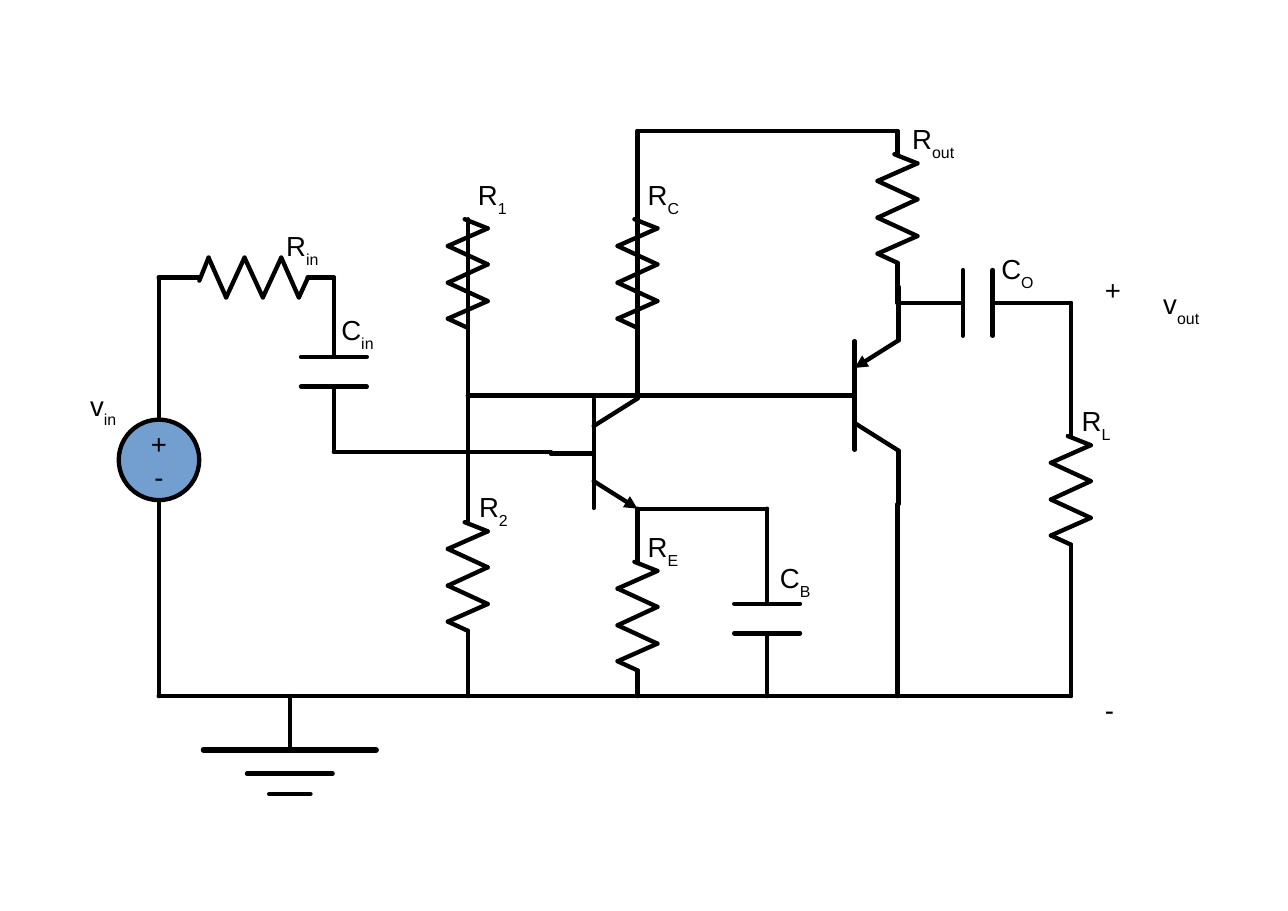
"""Draw a two-stage transistor amplifier circuit on one slide."""
from itertools import pairwise

from lxml import etree
from pptx import Presentation
from pptx import util as u
from pptx.dml import color
from pptx.enum import shapes, text
from pptx.oxml import ns

BLACK = color.RGBColor(0x00, 0x00, 0x00)
BLUE = color.RGBColor(0x72, 0x9F, 0xCF)
PEN = 2.83
FONT = {"name": "Arial", "size": u.Pt(18)}
FRAME = {
    "margin_left": u.Pt(7.2), "margin_right": u.Pt(7.2),
    "margin_top": u.Pt(3.6), "margin_bottom": u.Pt(3.6),
}
ZIGZAG = [(-2, 0), (13, 6), (-13, 17.5), (13, 29.5),
          (-13, 41.5), (13, 53.5), (-13, 65), (0, 71)]

SOURCE, INPUT, BIAS, STAGE, BYPASS, OUTPUT, LOAD = (
    103.7, 218.2, 305.7, 416.6, 501.3, 586.5, 699.8)
SUPPLY, ENTRY, EXIT, LINK, BASE, RAIL = 85.7, 181.4, 198, 258.5, 295.3, 455


def style(item, values):
    """Set every named value on the item."""
    for name, value in values.items():
        setattr(item, name, value)


def wire(part, points, arrow=False, width=PEN):
    """Join the points with straight lines, optionally ending in an arrow."""
    for start, end in pairwise(points):
        ends = [u.Pt(n) for n in (*start, *end)]
        line = part.add_connector(shapes.MSO_CONNECTOR.STRAIGHT, *ends)
        style(line.line, {"width": u.Pt(width)})
        line.line.color.rgb = BLACK
        props = line._element.spPr
        stroke = props.find(ns.qn("a:ln"))
        stroke.set("cap", "rnd")
        if arrow:
            etree.SubElement(stroke, ns.qn("a:tailEnd"), type="triangle")
        etree.SubElement(props, ns.qn("a:effectLst"))


def write(para, words, below=""):
    """Add a run of text and an optional subscript."""
    for word, drop in ((words, False), (below, True)):
        if word:
            run = para.add_run()
            run.text = word
            style(run.font, FONT)
            run.font.color.rgb = BLACK
            if drop:
                run._r.get_or_add_rPr().set("baseline", "-33000")


def label(page, left, top, words, below=""):
    """Place a label whose box starts at left, top."""
    box = page.add_textbox(*[u.Pt(n) for n in (left, top, 75, 31.7)])
    style(box.text_frame, FRAME | {"word_wrap": True})
    write(box.text_frame.paragraphs[0], words, below)


def source(page, left, top, size):
    """Draw the voltage source in a square box."""
    disc = page.add_shape(shapes.MSO_SHAPE.OVAL,
                          *[u.Pt(n) for n in (left, top, size, size)])
    disc.shadow.inherit = False
    disc.fill.solid()
    disc.fill.fore_color.rgb = BLUE
    disc.line.color.rgb = BLACK
    disc.line.width = u.Pt(PEN)
    frame = disc.text_frame
    style(frame, FRAME | {"word_wrap": False,
                          "vertical_anchor": text.MSO_ANCHOR.MIDDLE})
    for para, sign in ((frame.paragraphs[0], "+"), (frame.add_paragraph(), "-")):
        para.alignment = text.PP_ALIGN.CENTER
        write(para, sign)


def resist(page, x, y, flat=False):
    """Draw a resistor running down, or right when flat, from x, y."""
    wire(page.add_group_shape().shapes,
         [(x + along, y - side) if flat else (x + side, y + along)
          for side, along in ZIGZAG])


def store(page, x, y, flat=False):
    """Draw a capacitor centred on x, y, with leads down or across."""
    part = page.add_group_shape().shapes
    for sign in (-1, 1):
        near, far = sign * 9.7, sign * 35.6
        for ends in ([(-21.5, near), (21.5, near)], [(0, near), (0, far)]):
            wire(part, [(x + b, y + a) if flat else (x + a, y + b)
                        for a, b in ends])


def switch(page, x, y, inward=False):
    """Draw a transistor with its bar centred on x, y."""
    part = page.add_group_shape().shapes
    wire(part, [(x, y - 35.5), (x, y + 35.5)])
    wire(part, [(x - 28, y), (x, y)])
    for sign in (-1, 1):
        inner, tip = (x, y + sign * 18), (x + 28.6, y + sign * 36)
        wire(part, [tip, inner] if inward else [inner, tip],
             arrow=sign == (-1 if inward else 1))
        wire(part, [tip, (tip[0], y + sign * 71)])


def ground(page, x, y):
    """Draw the ground symbol hanging from x, y."""
    part = page.add_group_shape().shapes
    wire(part, [(x, y), (x, y + 35)])
    for half, drop, width in ((56.5, 35.2, 3.4), (28, 50.7, PEN), (13.5, 64, PEN)):
        wire(part, [(x - half, y + drop), (x + half, y + drop)], width=width)


def wires(page):
    """Connect all the parts."""
    for points in (
        [(SOURCE, 274.3), (SOURCE, ENTRY), (130.3, ENTRY)],
        [(201, ENTRY), (INPUT, ENTRY), (INPUT, 207.4)],
        [(INPUT, 278.6), (INPUT, BASE), (360, BASE)],
        [(BIAS, 143.3), (BIAS, 341.3)],
        [(BIAS, LINK), (530.7, LINK)],
        [(STAGE, LINK), (STAGE, SUPPLY), (OUTPUT, SUPPLY), (OUTPUT, 100.8)],
        [(STAGE, 332.5), (BYPASS, 332.5), (BYPASS, 368.7)],
        [(OUTPUT, 171.8), (OUTPUT, EXIT), (603.4, EXIT)],
        [(674.6, EXIT), (LOAD, EXIT), (LOAD, 285)],
        [(SOURCE, 326.9), (SOURCE, RAIL), (LOAD, RAIL), (LOAD, 356)],
        [(BIAS, 412.3), (BIAS, RAIL)],
        [(STAGE, 438.2), (STAGE, RAIL)],
        [(BYPASS, 439.9), (BYPASS, RAIL)],
        [(OUTPUT, 329.5), (OUTPUT, RAIL)],
    ):
        wire(page, points)


def main():
    """Build and save the slide."""
    deck = Presentation()
    style(deck, {"slide_width": u.Pt(841.68), "slide_height": u.Pt(595.44)})
    page = deck.slides.add_slide(deck.slide_layouts[6]).shapes
    source(page, 77.6, 274.3, 52.6)
    resist(page, 130.3, ENTRY, flat=True)
    for x, y in ((BIAS, 143.3), (STAGE, 143.3), (BIAS, 341.3),
                 (STAGE, 367.2), (OUTPUT, 100.8), (LOAD, 285)):
        resist(page, x, y)
    store(page, INPUT, 243)
    store(page, BYPASS, 404.3)
    store(page, 639, EXIT, flat=True)
    switch(page, 388, 296.5)
    switch(page, 558.5, 258.5, inward=True)
    wires(page)
    ground(page, 189.4, RAIL)
    for left, top, words, below in (
        (180, 146.2, "R", "in"), (305.3, 113, "R", "1"),
        (416.2, 113, "R", "C"), (589, 76.3, "R", "out"),
        (647.3, 161.3, "C", "O"), (699.8, 260.6, "R", "L"),
        (502.6, 362.9, "C", "B"), (416.2, 342.7, "R", "E"),
        (306, 316.8, "R", "2"), (216, 200.9, "C", "in"),
        (51.8, 250.6, "v", "in"), (753.1, 184.3, "v", "out"),
        (715, 175, "+", ""), (715, 449.3, "-", ""),
    ):
        label(page, left, top, words, below)
    deck.save("out.pptx")


if __name__ == "__main__":
    main()
